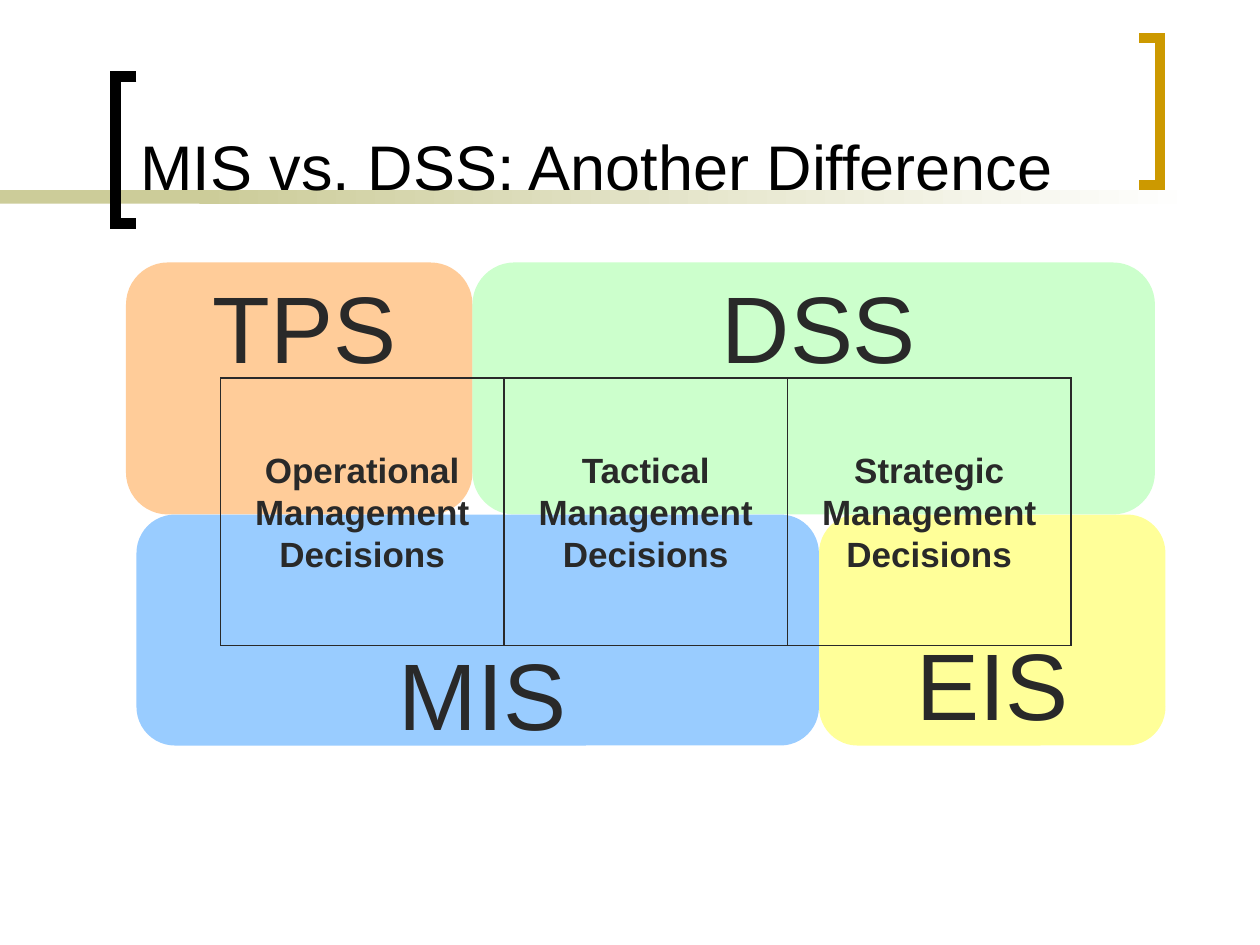
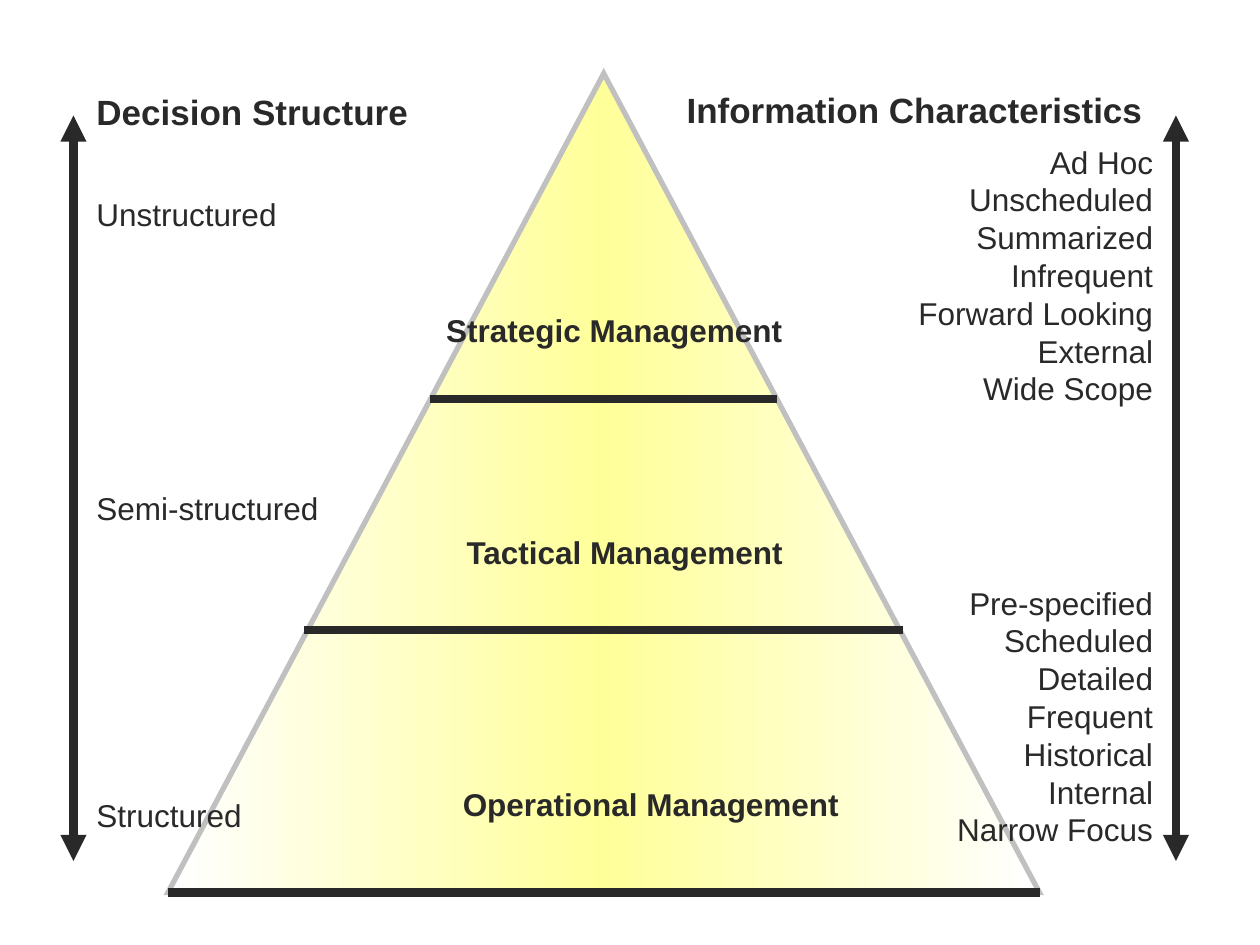
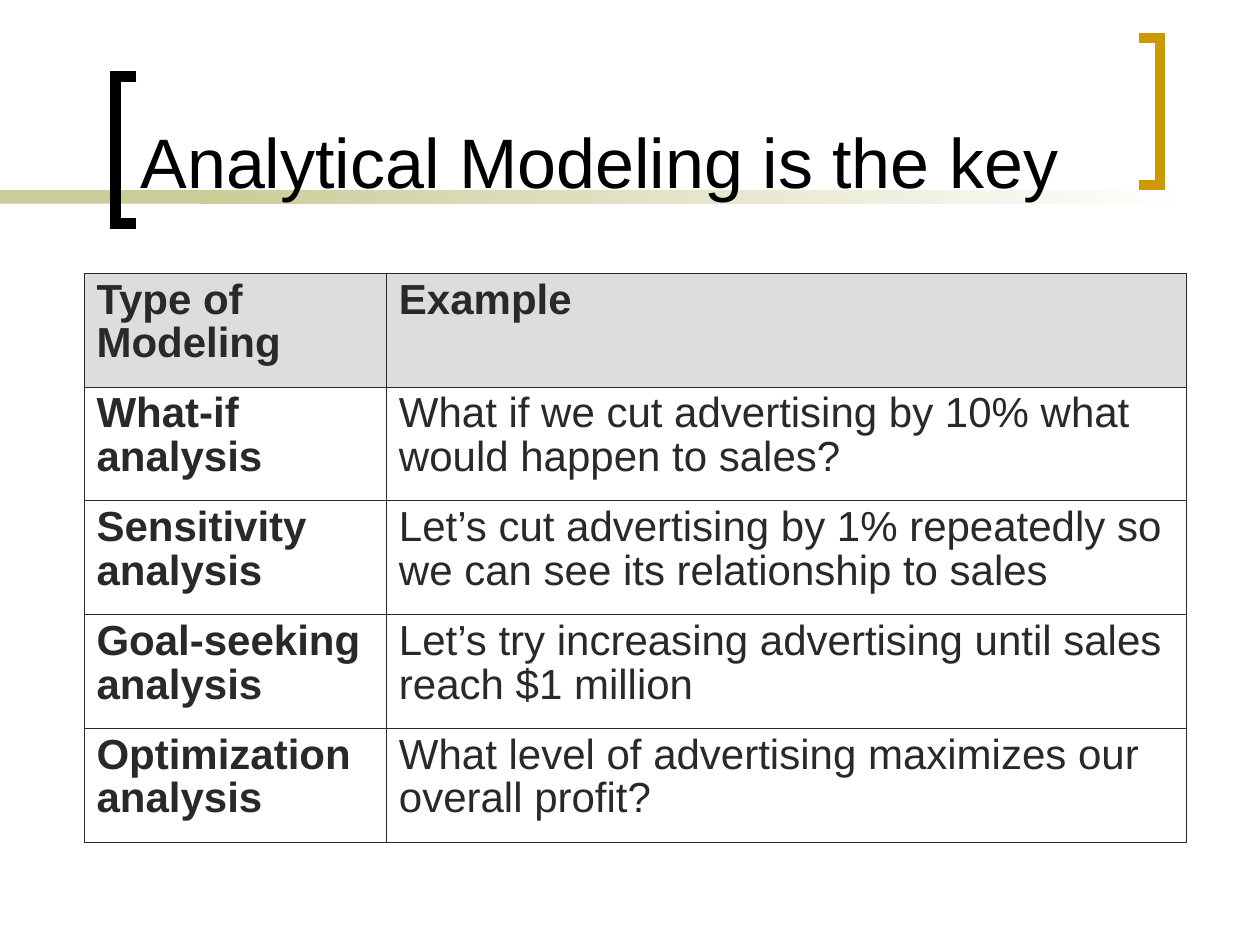
"""Build three slides on decision support, management levels and analytical modeling."""
from copy import deepcopy
from dataclasses import dataclass

from lxml import etree
from pptx import Presentation, util as u
from pptx.dml.color import RGBColor
from pptx.enum import shapes, text
from pptx.oxml import ns

INK = RGBColor(0x29, 0x29, 0x29)
BLACK = RGBColor(0, 0, 0)
WHITE = RGBColor(0xFF, 0xFF, 0xFF)
GOLD = RGBColor(0xCC, 0x99, 0x00)
KHAKI = RGBColor(0xCC, 0xCC, 0x99)
ORANGE = RGBColor(0xFF, 0xCC, 0x99)
YELLOW = RGBColor(0xFF, 0xFF, 0x99)
GREEN = RGBColor(0xCC, 0xFF, 0xCC)
BLUE = RGBColor(0x99, 0xCC, 0xFF)
SILVER = RGBColor(0xC0, 0xC0, 0xC0)
HEADER_GRAY = RGBColor(0xDD, 0xDD, 0xDD)
FONT = "Arial"
COLUMNS, ROWS = 120, 90
WIDTH, HEIGHT = u.Inches(10), u.Inches(7.5)
LEFT, CENTER, RIGHT = text.PP_ALIGN.LEFT, text.PP_ALIGN.CENTER, text.PP_ALIGN.RIGHT
TOP, MIDDLE, BOTTOM = text.MSO_ANCHOR.TOP, text.MSO_ANCHOR.MIDDLE, text.MSO_ANCHOR.BOTTOM


@dataclass(frozen=True)
class Area:
    """A rectangle on the slide grid."""
    column: float
    row: float
    columns: float
    rows: float

    def emu(self) -> tuple:
        """Return left, top, width and height in slide units."""
        return across(self.column), down(self.row), across(self.columns), down(self.rows)


@dataclass(frozen=True)
class Label:
    """Lines of text of one style in an area."""
    lines: str
    area: Area
    size: float = 18
    bold: bool = False
    align: text.PP_ALIGN = LEFT
    anchor: text.MSO_ANCHOR = TOP
    color: RGBColor = INK


@dataclass(frozen=True)
class System:
    """A coloured block with the name of an information system."""
    name: str
    color: RGBColor
    block: Area
    name_area: Area


SYSTEMS = (
    System("TPS", ORANGE, Area(12, 25, 33, 24), Area(11, 25, 36, 12)),
    System("EIS", YELLOW, Area(78, 49, 33, 22), Area(78, 59, 33, 12)),
    System("DSS", GREEN, Area(45, 25, 65, 24), Area(60, 25, 36, 12)),
    System("MIS", BLUE, Area(13, 49, 65, 22), Area(28, 60, 36, 12)),
)
LEVELS = ("Operational", "Tactical", "Strategic")
PYRAMID = Area(16, 7, 83, 78)
PYRAMID_LABELS = (
    Label("Strategic Management", Area(40, 29, 37, 4.8), bold=True, align=CENTER),
    Label("Tactical Management", Area(41, 50.2, 37, 4.8), bold=True, align=CENTER),
    Label("Operational Management", Area(35, 74.2, 54, 4.8), bold=True, align=CENTER),
    Label("Decision Structure", Area(8, 8, 44, 5.2), 20, True),
    Label("Information Characteristics", Area(63, 7.8, 47, 5.2), 20, True, RIGHT),
    Label("Unstructured", Area(8, 18, 37, 4.8)),
    Label("Semi-structured", Area(8, 46, 37, 4.8)),
    Label("Structured", Area(8, 75.2, 37, 4.8)),
    Label("Ad Hoc\nUnscheduled\nSummarized\nInfrequent\nForward Looking\nExternal\nWide Scope",
          Area(74, 13, 37, 26.4), align=RIGHT),
    Label("Pre-specified\nScheduled\nDetailed\nFrequent\nHistorical\nInternal\nNarrow Focus",
          Area(74, 55, 37, 26.4), align=RIGHT),
)
LEVEL_LINES = ((29, 86, 60), (41, 74, 38), (16, 99, 85))
ARROW_COLUMNS = (7, 112)
MODELS = (
    ("Type of Modeling", "Example"),
    ("What-if analysis", "What if we cut advertising by 10% what would happen to sales?"),
    ("Sensitivity analysis",
     "Let’s cut advertising by 1% repeatedly so we can see its relationship to sales"),
    ("Goal-seeking analysis", "Let’s try increasing advertising until sales reach $1 million"),
    ("Optimization analysis", "What level of advertising maximizes our overall profit?"),
)
MODEL_COLUMNS = (28.8, 76.2)
MODEL_AREA = Area(8, 26, sum(MODEL_COLUMNS), 54.2)


def across(columns: float) -> int:
    """Turn grid columns into a length."""
    return round(WIDTH * columns / COLUMNS)


def down(rows: float) -> int:
    """Turn grid rows into a length."""
    return round(HEIGHT * rows / ROWS)


def add_text(paragraph, lines: str, size: float, bold: bool, color: RGBColor) -> None:
    """Add lines as styled runs parted by line breaks."""
    for index, line in enumerate(lines.split("\n")):
        if index:
            paragraph.add_line_break()
        run = paragraph.add_run()
        run.text = line
        run.font.name, run.font.size, run.font.bold = FONT, u.Pt(size), bold
        run.font.color.rgb = color


def fill_frame(shape, label: Label) -> None:
    """Write a label into a shape."""
    frame = shape.text_frame
    frame.word_wrap = True
    frame.vertical_anchor = label.anchor
    paragraph = frame.paragraphs[0]
    paragraph.alignment = label.align
    add_text(paragraph, label.lines, label.size, label.bold, label.color)


def add_label(slide, label: Label) -> None:
    """Add a label in its own text box."""
    fill_frame(slide.shapes.add_textbox(*label.area.emu()), label)


def add_block(slide, kind: shapes.MSO_SHAPE, area: Area, colors: tuple = ()):
    """Add a borderless shape with no, one or several gradient colours."""
    shape = slide.shapes.add_shape(kind, *area.emu())
    shape.shadow.inherit = False
    shape.line.fill.background()
    if not colors:
        shape.fill.background()
    elif len(colors) == 1:
        shape.fill.solid()
        shape.fill.fore_color.rgb = colors[0]
    else:
        shape.fill.gradient()
        shape.fill.gradient_angle = 0
        stop_list = next(shape._element.spPr.iter(ns.qn("a:gsLst")))
        for _ in colors[2:]:
            stop_list.append(deepcopy(stop_list[0]))
        for index, (stop, color) in enumerate(zip(shape.fill.gradient_stops, colors)):
            stop.position = index / (len(colors) - 1)
            stop.color.rgb = color
    return shape


def set_line(shape, color: RGBColor, width: float) -> None:
    """Outline a shape with sharp corners."""
    shape.line.color.rgb = color
    shape.line.width = u.Pt(width)
    etree.SubElement(shape.line._get_or_add_ln(), ns.qn("a:miter"), lim="800000")


def add_bracket(slide, column: float, row: float, reach: float, color: RGBColor) -> None:
    """Add a square bracket whose arms reach sideways from its spine."""
    points = [(across(x), down(y)) for x, y in (
        (column + reach, row), (column, row), (column, row + 14), (column + reach, row + 14))]
    builder = slide.shapes.build_freeform(*points[0])
    builder.add_line_segments(points[1:], close=False)
    bracket = builder.convert_to_shape()
    bracket.shadow.inherit = False
    bracket.fill.background()
    set_line(bracket, color, 6)


def add_line(slide, start: tuple, end: tuple, arrows: bool = False) -> None:
    """Add a heavy straight line, with arrowheads at both ends if asked."""
    line = slide.shapes.add_connector(
        shapes.MSO_CONNECTOR.STRAIGHT, across(start[0]), down(start[1]), across(end[0]), down(end[1]))
    line.line.color.rgb = INK
    line.line.width = u.Pt(5)
    if arrows:
        for tag in ("a:headEnd", "a:tailEnd"):
            etree.SubElement(line.line._get_or_add_ln(), ns.qn(tag), type="triangle")
    etree.SubElement(line._element.spPr, ns.qn("a:effectLst"))


def add_slide(presentation):
    """Add a blank slide."""
    return presentation.slides.add_slide(presentation.slide_layouts[6])


def add_titled_slide(presentation, title: str, size: float):
    """Add a slide with the band, brackets and title."""
    slide = add_slide(presentation)
    add_block(slide, shapes.MSO_SHAPE.RECTANGLE, Area(0, 18.1, 28, 1.3), (KHAKI,))
    add_block(slide, shapes.MSO_SHAPE.RECTANGLE, Area(19, 18.1, 95, 1.3), (KHAKI, WHITE))
    add_bracket(slide, 11, 7.3, 2, BLACK)
    add_bracket(slide, 110.5, 3.6, -2, GOLD)
    add_label(slide, Label(title, Area(12.2, 1.3, 94, 18.6), size, anchor=BOTTOM, color=BLACK))
    return slide


def build_systems(presentation) -> None:
    """Build the slide that sets systems against decision levels."""
    slide = add_titled_slide(presentation, "MIS vs. DSS: Another Difference", 36)
    for system in SYSTEMS:
        add_block(slide, shapes.MSO_SHAPE.ROUNDED_RECTANGLE, system.block, (system.color,))
    for index, level in enumerate(LEVELS):
        area = Area(21 + 27 * index, 36, 27, 25.5)
        box = add_block(slide, shapes.MSO_SHAPE.RECTANGLE, area)
        set_line(box, INK, 0.75)
        fill_frame(box, Label(f"{level}\nManagement Decisions", area, 20, True, CENTER, MIDDLE))
    for system in SYSTEMS:
        add_label(slide, Label(system.name, system.name_area, 54, align=CENTER))


def build_pyramid(presentation) -> None:
    """Build the slide with the management pyramid."""
    slide = add_slide(presentation)
    pyramid = add_block(slide, shapes.MSO_SHAPE.ISOSCELES_TRIANGLE, PYRAMID, (WHITE, YELLOW, WHITE))
    set_line(pyramid, SILVER, 3)
    for start, end, row in LEVEL_LINES:
        add_line(slide, (start, row), (end, row))
    for column in ARROW_COLUMNS:
        add_line(slide, (column, 11), (column, 82), arrows=True)
    for label in PYRAMID_LABELS:
        add_label(slide, label)


def set_borders(cell, outer: dict) -> None:
    """Draw cell borders, heavier on the sides at the table's edge."""
    properties = cell._tc.get_or_add_tcPr()
    for side, is_outer in outer.items():
        line = etree.SubElement(properties, ns.qn(f"a:ln{side}"), w=str(u.Pt(0.5 if is_outer else 0.23)))
        fill = etree.SubElement(line, ns.qn("a:solidFill"))
        etree.SubElement(fill, ns.qn("a:srgbClr"), val=str(INK))


def build_models(presentation) -> None:
    """Build the slide with the table of modeling types."""
    slide = add_titled_slide(presentation, "Analytical Modeling is the key", 40)
    last_row, last_column = len(MODELS) - 1, len(MODEL_COLUMNS) - 1
    table = slide.shapes.add_table(len(MODELS), len(MODEL_COLUMNS), *MODEL_AREA.emu()).table
    table.first_row = table.horz_banding = False
    for column, columns in zip(table.columns, MODEL_COLUMNS):
        column.width = across(columns)
    for row_index, row in enumerate(MODELS):
        for column_index, words in enumerate(row):
            cell = table.cell(row_index, column_index)
            set_borders(cell, {"L": column_index == 0, "R": column_index == last_column,
                               "T": row_index == 0, "B": row_index == last_row})
            if row_index == 0:
                cell.fill.solid()
                cell.fill.fore_color.rgb = HEADER_GRAY
            else:
                cell.fill.background()
            paragraph = cell.text_frame.paragraphs[0]
            paragraph.line_spacing = 0.93
            add_text(paragraph, words, 24, row_index == 0 or column_index == 0, INK)


def main() -> None:
    """Build and save the presentation."""
    presentation = Presentation()
    presentation.slide_width, presentation.slide_height = WIDTH, HEIGHT
    build_systems(presentation)
    build_pyramid(presentation)
    build_models(presentation)
    presentation.save("out.pptx")


if __name__ == "__main__":
    main()
